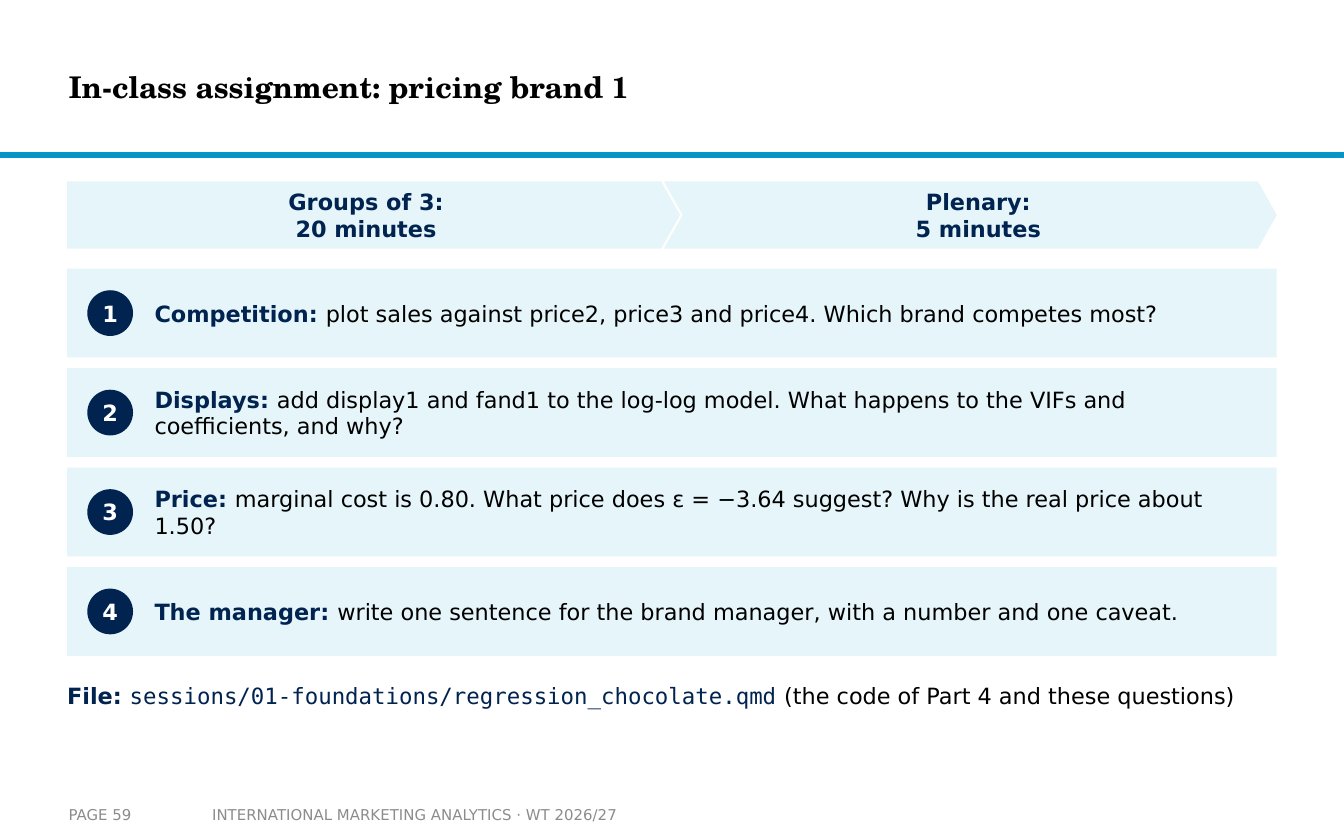
from pptx import Presentation
from pptx.dml.color import RGBColor
from pptx.enum.shapes import MSO_SHAPE
from pptx.enum.text import MSO_ANCHOR, MSO_AUTO_SIZE, PP_ALIGN
from pptx.util import Inches, Pt

SANS = "DejaVu Sans"
MONO = "DejaVu Sans Mono"
SERIF = "TeX Gyre Schola"
NAVY, PALE, BLACK, WHITE, GREY = "002350", "E5F5FA", "000000", "FFFFFF", "8C8C8C"

LEFT, WIDTH = 0.5, 9
CARD_TOP, CARD_HEIGHT, CARD_STEP = 2, 0.66, 0.74
BADGE = 0.34
STAGE_WIDTH, STAGE_HEIGHT = 4.56, 0.5

TASKS = [
    ("Competition: ", "plot sales against price2, price3 and price4. Which brand competes most?"),
    ("Displays: ", "add display1 and fand1 to the log-log model. "
                   "What happens to the VIFs and coefficients, and why?"),
    ("Price: ", "marginal cost is 0.80. What price does ε = −3.64 suggest? "
                "Why is the real price about 1.50?"),
    ("The manager: ", "write one sentence for the brand manager, with a number and one caveat."),
]


def rgb(color):
    return RGBColor.from_string(color)


def style(font, size, color, bold=False, name=SANS):
    font.name = name
    font.size = Pt(size)
    font.bold = bold
    font.color.rgb = rgb(color)


def set_frame(shape, insets=(0, 0, 0, 0)):
    tf = shape.text_frame
    tf.word_wrap = True
    tf.auto_size = MSO_AUTO_SIZE.NONE
    tf.vertical_anchor = MSO_ANCHOR.MIDDLE
    tf.margin_left, tf.margin_top, tf.margin_right, tf.margin_bottom = map(Inches, insets)
    return tf


def add_block(s, kind, box, fill, line=None):
    sp = s.shapes.add_shape(kind, *map(Inches, box))
    sp.shadow.inherit = False
    sp.fill.solid()
    sp.fill.fore_color.rgb = rgb(fill)
    if line:
        sp.line.color.rgb = rgb(line)
        sp.line.width = Pt(1)
    else:
        sp.line.fill.background()
    return sp


def add_label(sp, text, color, insets=(0, 0, 0, 0)):
    p = set_frame(sp, insets).paragraphs[0]
    p.text = text
    p.alignment = PP_ALIGN.CENTER
    style(p.font, 12, color, True)


def add_text(s, box, runs):
    sp = s.shapes.add_textbox(*map(Inches, box))
    p = set_frame(sp).paragraphs[0]
    p.space_after = Pt(4)
    for text, color, bold, name in runs:
        r = p.add_run()
        r.text = text
        style(r.font, 12, color, bold, name)


def add_title(s, text):
    title = s.shapes.title
    title.left, title.top, title.width, title.height = map(Inches, (0.51, 0.15, 7.48, 0.99))
    p = set_frame(title).paragraphs[0]
    p.text = text
    p.alignment = PP_ALIGN.LEFT
    style(p.font, 16, BLACK, True, SERIF)


def add_footer(s, text, left, width, inset):
    sp = s.shapes.add_textbox(*map(Inches, (left, 5.92, width, 0.28)))
    p = set_frame(sp, (inset, 0.05, inset, 0.05)).paragraphs[0]
    p.text = text
    style(p.font, 8, GREY)


def add_stage(s, kind, left, text, inset):
    sp = add_block(s, kind, (left, 1.35, STAGE_WIDTH, STAGE_HEIGHT), PALE)
    sp.adjustments[0] = 0.28
    add_label(sp, text, NAVY, (inset, 0.02, 0.14, 0.02))


def add_card(s, number, lead, question):
    top = CARD_TOP + (number - 1) * CARD_STEP
    add_block(s, MSO_SHAPE.RECTANGLE, (LEFT, top, WIDTH, CARD_HEIGHT), PALE)
    badge_top = top + (CARD_HEIGHT - BADGE) / 2
    badge = add_block(s, MSO_SHAPE.OVAL, (LEFT + 0.15, badge_top, BADGE, BADGE), NAVY)
    add_label(badge, str(number), WHITE)
    add_text(s, (LEFT + 0.65, top, WIDTH - 0.8, CARD_HEIGHT),
             [(lead, NAVY, True, SANS), (question, BLACK, False, SANS)])


def main():
    prs = Presentation()
    prs.slide_width, prs.slide_height = Inches(10), Inches(6.25)
    s = prs.slides.add_slide(prs.slide_layouts[5])

    add_block(s, MSO_SHAPE.RECTANGLE, (0, 1.14, 10, 0.03), "0C94B7", "0096D3")
    add_title(s, "In-class assignment: pricing brand 1")
    add_footer(s, "INTERNATIONAL MARKETING ANALYTICS · WT 2026/27", 1.48, 3.52, 0.1)
    add_footer(s, "PAGE 59", 0.51, 0.98, 0)

    add_stage(s, MSO_SHAPE.PENTAGON, LEFT, "Groups of 3:\v20 minutes", 0.1)
    add_stage(s, MSO_SHAPE.CHEVRON, LEFT + WIDTH - STAGE_WIDTH, "Plenary:\v5 minutes", 0.26)

    for number, (lead, question) in enumerate(TASKS, 1):
        add_card(s, number, lead, question)

    add_text(s, (LEFT, 5, WIDTH, 0.35), [
        ("File: ", NAVY, True, SANS),
        ("sessions/01-foundations/regression_chocolate.qmd", NAVY, False, MONO),
        (" (the code of Part 4 and these questions)", BLACK, False, SANS),
    ])
    prs.save("out.pptx")


if __name__ == "__main__":
    main()
